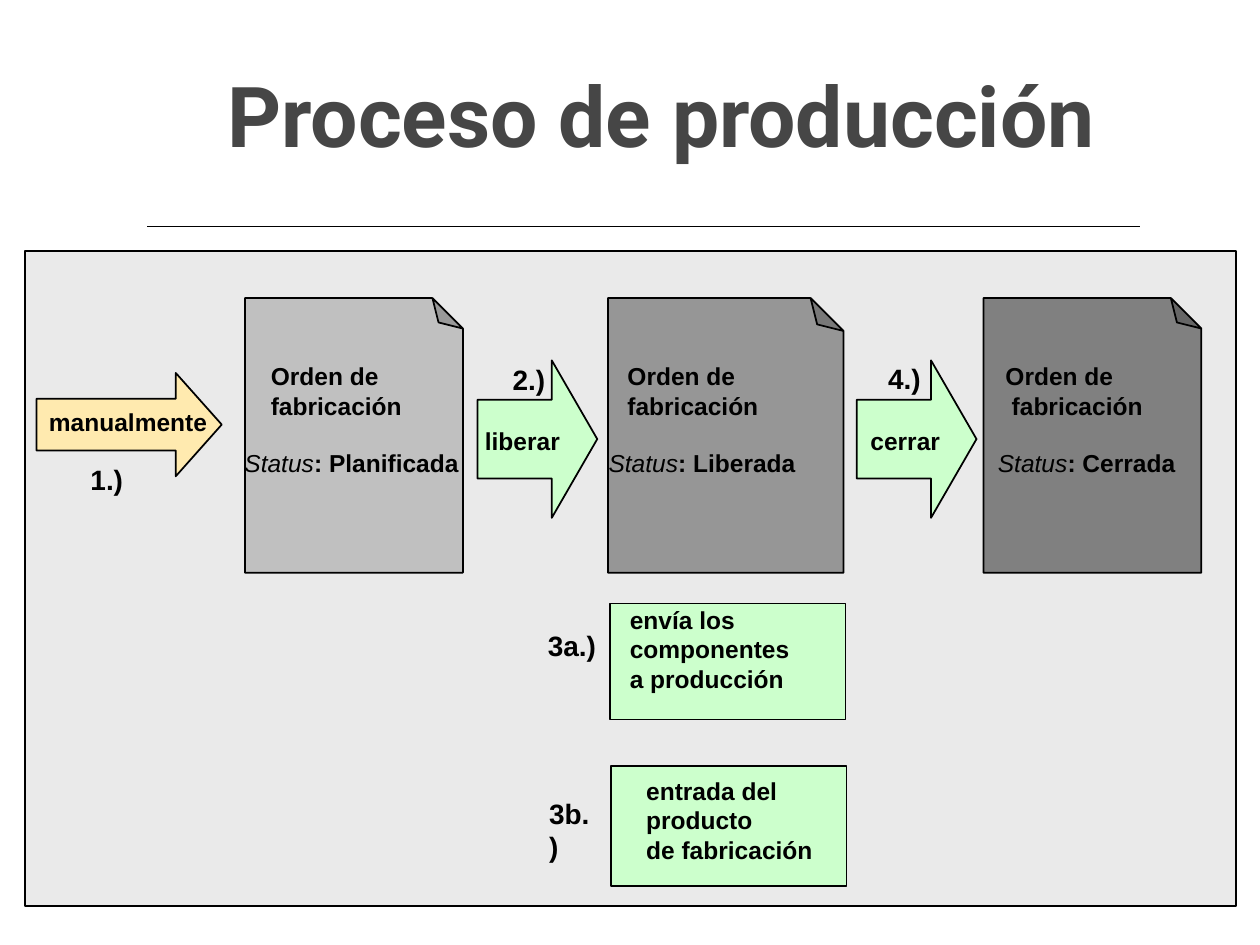
"""Builds the production process slide: three order states and the steps between them."""
from dataclasses import dataclass

from lxml import etree
from pptx import Presentation
from pptx.dml.color import RGBColor
from pptx.enum.shapes import MSO_CONNECTOR as Connector, MSO_SHAPE as Shape
from pptx.enum.text import MSO_ANCHOR as Anchor, PP_ALIGN as Align
from pptx.oxml.ns import qn
from pptx.util import Inches, Pt


@dataclass(frozen=True)
class Theme:
    black: str = "000000"
    title: str = "464646"
    panel: str = "EAEAEA"
    manual: str = "FFEAAF"
    step: str = "CCFFCC"
    planned: str = "C0C0C0"
    released: str = "969696"
    closed: str = "808080"
    title_size: int = 48
    number_size: int = 16
    body_size: int = 14


theme = Theme()
presentation = Presentation()
presentation.slide_width, presentation.slide_height = Inches(10), Inches(7.5)
slide = presentation.slides.add_slide(presentation.slide_layouts[6])


def add_box(kind, left, top, width, height, fill, rotation=0, **guides):
    shape = slide.shapes.add_shape(kind, Inches(left), Inches(top), Inches(width), Inches(height))
    shape.shadow.inherit = False
    shape.fill.solid()
    shape.fill.fore_color.rgb = RGBColor.from_string(fill)
    shape.line.color.rgb = RGBColor.from_string(theme.black)
    shape.line.width = Pt(1)
    shape.rotation = rotation
    guide_list = next(shape._element.iter(qn("a:avLst")))
    for name, value in guides.items():
        etree.SubElement(guide_list, qn("a:gd"), name=name, fmla=f"val {value}")


def add_text(text, left, top, width, height, size=theme.body_size, font="Arial", color=theme.black,
             align=Align.LEFT, anchor=Anchor.TOP, inset=0.1, wrap=False, indents=(), italic="", gap=0):
    box = slide.shapes.add_textbox(Inches(left), Inches(top), Inches(width), Inches(height))
    frame = box.text_frame
    frame.word_wrap = wrap
    frame.vertical_anchor = anchor
    frame.margin_left = frame.margin_right = Inches(inset)
    frame.margin_top = frame.margin_bottom = Inches(inset / 2)
    for index, line in enumerate(text.split("\n")):
        paragraph = frame.paragraphs[0] if index == 0 else frame.add_paragraph()
        paragraph.alignment = align
        if index < len(indents):
            paragraph._p.get_or_add_pPr().set("marL", str(Inches(indents[index])))
        pieces = [(line, False)]
        if italic and line.startswith(italic):
            paragraph.space_before = Pt(gap)
            pieces = [(italic, True), (line[len(italic):], False)]
        for piece, slanted in pieces:
            run = paragraph.add_run()
            run.text = piece
            run.font.name, run.font.size = font, Pt(size)
            run.font.bold, run.font.italic = not slanted, slanted
            run.font.color.rgb = RGBColor.from_string(color)


add_text("Proceso de producción", 0.75, 0.28, 9, 1.25, size=theme.title_size, font="Roboto",
         color=theme.title, align=Align.CENTER, anchor=Anchor.MIDDLE, wrap=True)

rule = slide.shapes.add_connector(Connector.STRAIGHT, Inches(1.17), Inches(1.8), Inches(9.05), Inches(1.8))
rule.line.color.rgb = RGBColor.from_string(theme.black)
rule.line.width = Pt(0.75)
etree.SubElement(rule._element.spPr, qn("a:effectLst"))

add_box(Shape.RECTANGLE, 0.2, 1.99, 9.61, 5.2, theme.panel)

orders = [
    ("Planificada", 1.72, 2.59, 1.73, theme.planned, 1.94, (0.21, 0.21)),
    ("Liberada", 4.67, 2.52, 1.87, theme.released, 4.83, (0.15, 0.15)),
    ("Cerrada", 7.58, 2.59, 1.73, theme.closed, 7.92, (0.06, 0.11)),
]
for status, left, top, height, fill, text_left, indents in orders:
    add_box(Shape.FOLDED_CORNER, left, top, 2.18, height, fill, rotation=270, adj=14000)
    add_text(f"Orden de\nfabricación\nStatus: {status}", text_left, 2.98, 1.8, 0.7, inset=0, wrap=True,
             anchor=Anchor.MIDDLE, indents=indents, italic="Status", gap=16)

add_box(Shape.RIGHT_ARROW, 0.29, 2.96, 1.47, 0.82, theme.manual, adj1=50000, adj2=44500)
add_text("manualmente", 0.29, 3.18, 1.46, 0.34)

for label, arrow_left, text_left in [("liberar", 3.79, 3.75), ("cerrar", 6.8, 6.81)]:
    add_box(Shape.RIGHT_ARROW, arrow_left, 2.86, 0.95, 1.25, theme.step, adj1=50000, adj2=38000)
    add_text(label, text_left, 3.33, 0.8, 0.34)

activities = [
    ("envía los\ncomponentes\na producción", 4.84, 4.79, 0.92, 4.9, 4.75),
    ("entrada del\nproducto\nde fabricación", 4.85, 6.08, 0.95, 5.03, 6.11),
]
for label, left, top, height, text_left, text_top in activities:
    add_box(Shape.RECTANGLE, left, top, 1.87, height, theme.step)
    add_text(label, text_left, text_top, 1.72, 0.81, wrap=True)

numbers = [
    ("1.)", 0.62, 3.62, 0.46),
    ("2.)", 3.97, 2.83, 0.46),
    ("3a.)", 4.25, 4.94, 0.58),
    ("3b.)", 4.26, 6.27, 0.59),
    ("4.)", 6.95, 2.82, 0.46),
]
for number, left, top, width in numbers:
    add_text(number, left, top, width, 0.37, size=theme.number_size)

presentation.save("out.pptx")
